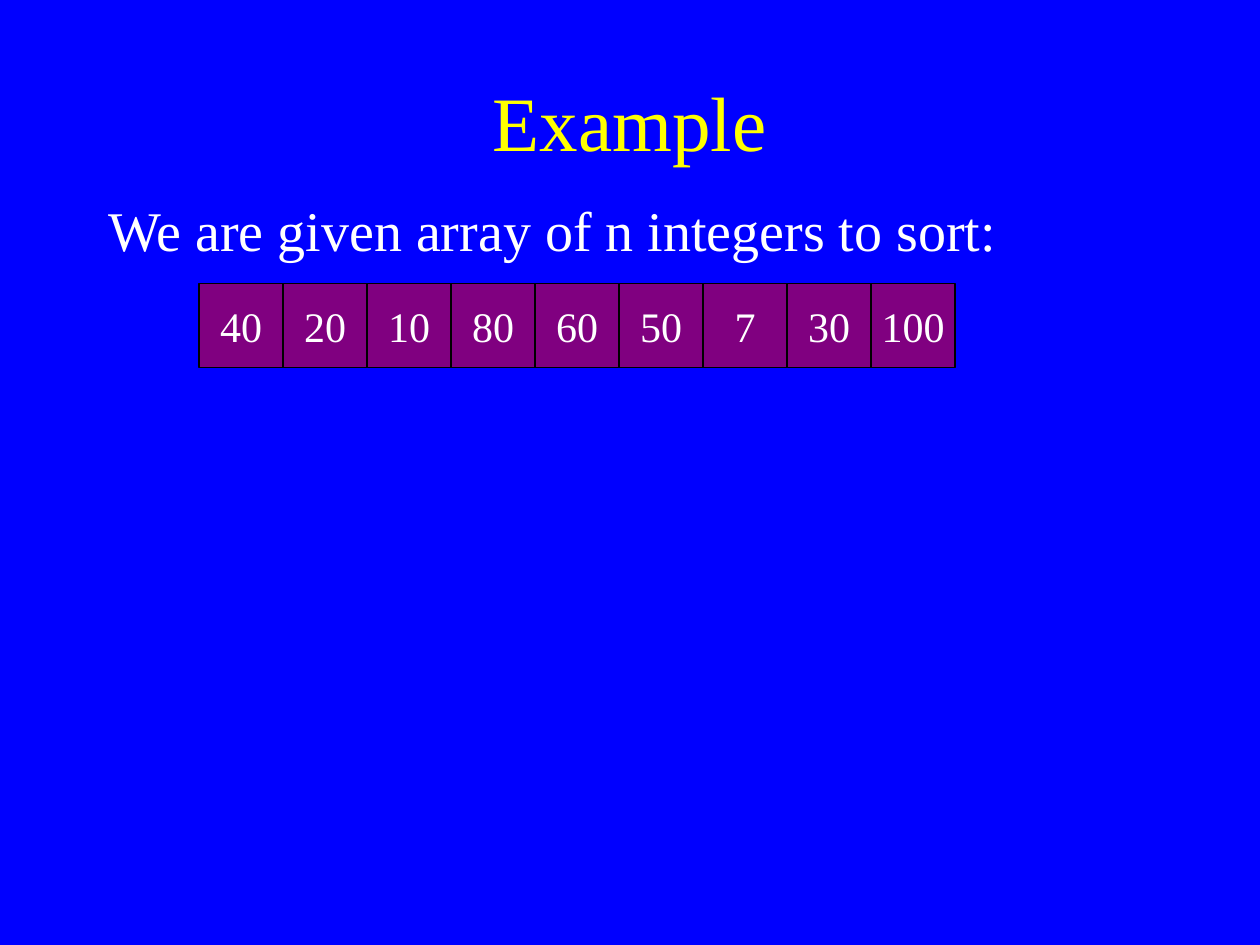
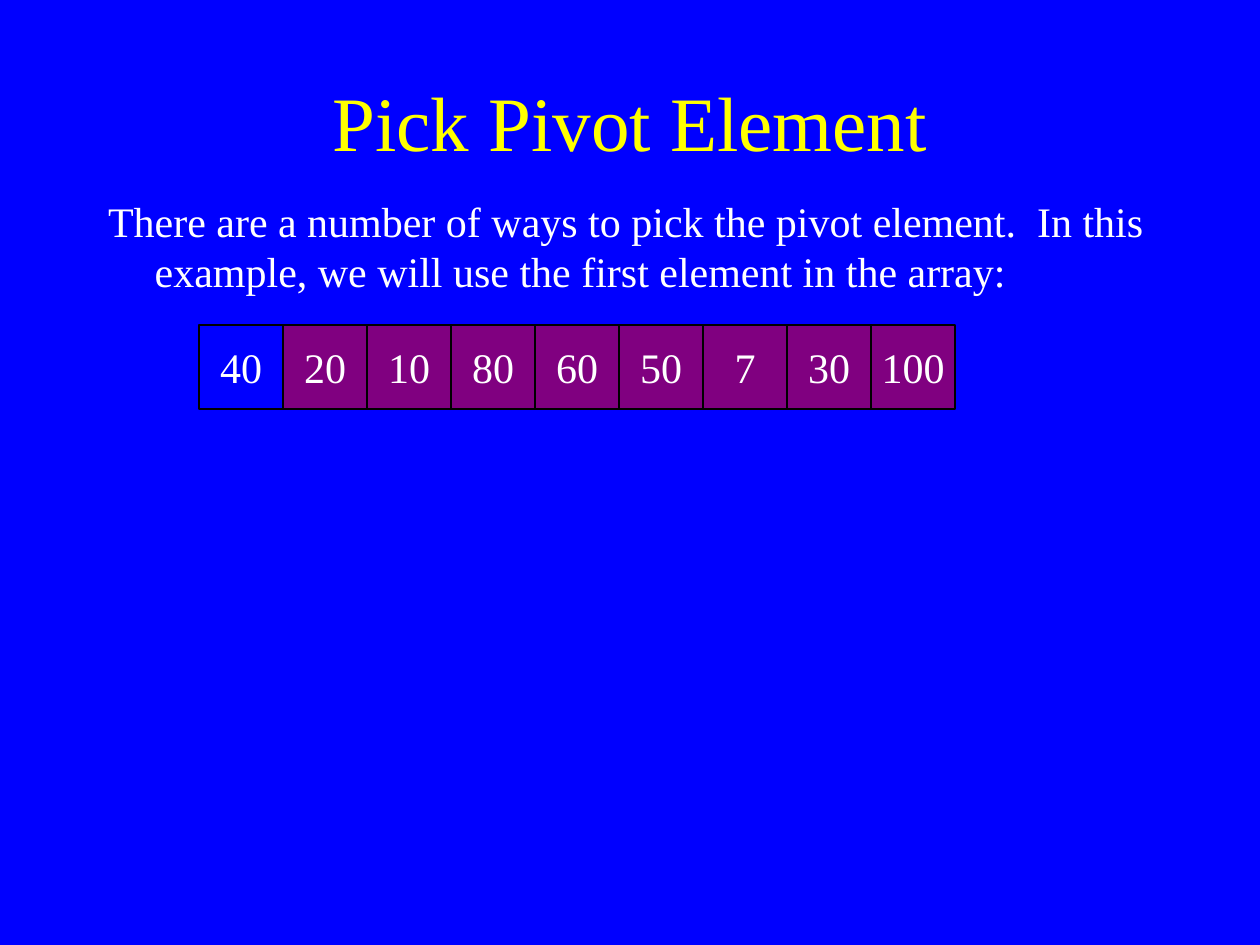
from pptx import Presentation
from pptx.dml.color import RGBColor
from pptx.enum.shapes import MSO_SHAPE
from pptx.enum.text import MSO_ANCHOR, PP_ALIGN
from pptx.util import Inches, Pt

RECT = MSO_SHAPE.RECTANGLE
LEFT, CENTER = PP_ALIGN.LEFT, PP_ALIGN.CENTER
TOP, MIDDLE = MSO_ANCHOR.TOP, MSO_ANCHOR.MIDDLE

FONT = "Times New Roman"
BLUE, YELLOW, WHITE = "0000FF", "FFFF00", "FFFFFF"
PURPLE, BLACK = "800080", "000000"
NUMBERS = [40, 20, 10, 80, 60, 50, 7, 30, 100]


def rgb(value):
    return RGBColor.from_string(value)


def write(tf, text, size, color=WHITE, align=LEFT, anchor=TOP, wrap=True):
    """Fill a text frame with one formatted paragraph and return it."""
    tf.word_wrap = wrap
    tf.vertical_anchor = anchor
    p = tf.paragraphs[0]
    p.alignment = align
    r = p.add_run()
    r.text = text
    r.font.name = FONT
    r.font.size = Pt(size)
    r.font.color.rgb = rgb(color)
    return p


class Deck:
    margin, width = 0.75, 8.5
    cell, array_left = 2 / 3, 1.58

    def __init__(self):
        self.prs = Presentation()
        self.prs.slide_width = Inches(10)
        self.prs.slide_height = Inches(7.5)
        self.s = None

    def slide(self, title):
        self.s = self.prs.slides.add_slide(self.prs.slide_layouts[6])
        fill = self.s.background.fill
        fill.solid()
        fill.fore_color.rgb = rgb(BLUE)
        write(self.box(0.33, 1.25), title, 44, color=YELLOW,
              align=CENTER, anchor=MIDDLE)

    def box(self, top, height):
        sp = self.s.shapes.add_textbox(Inches(self.margin), Inches(top),
                                       Inches(self.width), Inches(height))
        return sp.text_frame

    def body(self, text, size):
        p = write(self.box(1.5, 4.5), text, size)
        # Hanging indent
        pPr = p._p.get_or_add_pPr()
        pPr.set("marL", str(Inches(0.38)))
        pPr.set("indent", str(Inches(-0.37)))

    def array(self, numbers, top, pivot=None):
        for i, number in enumerate(numbers):
            sp = self.s.shapes.add_shape(
                RECT, Inches(self.array_left + i * self.cell), Inches(top),
                Inches(self.cell), Inches(self.cell))
            sp.shadow.inherit = False
            sp.fill.solid()
            sp.fill.fore_color.rgb = rgb(BLUE if i == pivot else PURPLE)
            sp.line.color.rgb = rgb(BLACK)
            sp.line.width = Pt(0.74)
            write(sp.text_frame, str(number), 24, align=CENTER,
                  anchor=MIDDLE, wrap=False)


deck = Deck()

# Slide 1: the unsorted array
deck.slide("Example")
deck.body("We are given array of n integers to sort:", 32)
deck.array(NUMBERS, 2.25)

# Slide 2: the first element becomes the pivot
deck.slide("Pick Pivot Element")
deck.body("There are a number of ways to pick the pivot element.  In this "
          "example, we will use the first element in the array:", 24)
deck.array(NUMBERS, 2.58, pivot=0)

deck.prs.save("out.pptx")
